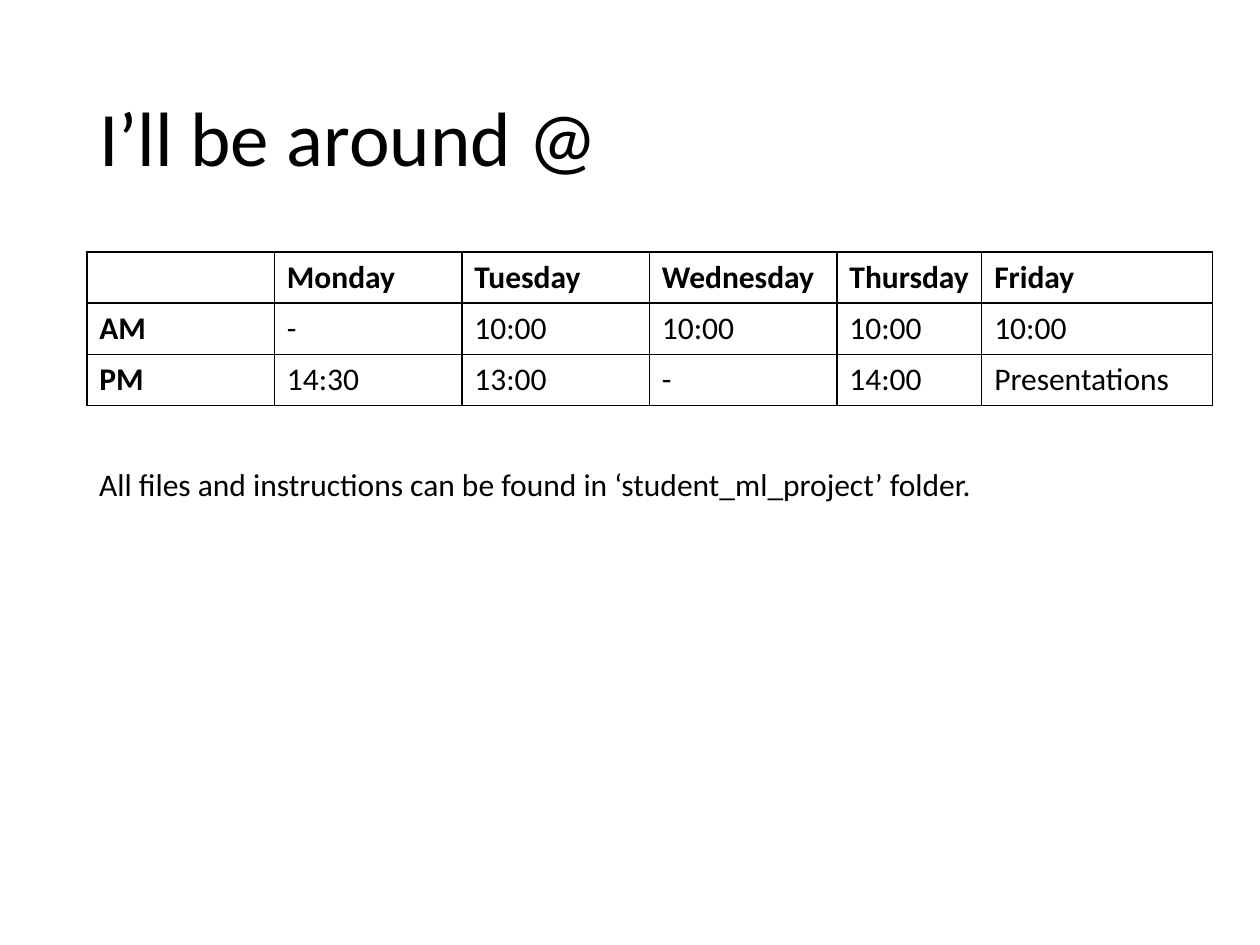
import pptx
import pptx.util
import pptx.dml.color
import pptx.enum.text
import pptx.oxml.ns
import lxml.etree

Cm = pptx.util.Cm
Pt = pptx.util.Pt
BLACK = pptx.dml.color.RGBColor(0, 0, 0)
FONT = "Calibri"
LEFT = 1.75
DAYS = ["", "Monday", "Tuesday", "Wednesday", "Thursday", "Friday"]
HOURS = [
    DAYS,
    ["AM", "-", "10:00", "10:00", "10:00", "10:00"],
    ["PM", "14:30", "13:00", "-", "14:00", "Presentations"],
]
WIDTHS = [3.78, 3.78, 3.78, 3.78, 2.92, 4.65]


def style(frame, size, bold=False):
    for para in frame.paragraphs:
        for run in para.runs:
            run.font.name = FONT
            run.font.size = Pt(size)
            run.font.bold = bold
            run.font.color.rgb = BLACK


def edge(cell):
    props = cell._tc.get_or_add_tcPr()
    qn = pptx.oxml.ns.qn
    for spot, side in enumerate(("a:lnL", "a:lnR", "a:lnT", "a:lnB")):
        line = lxml.etree.Element(qn(side), w=str(Pt(1)))
        fill = lxml.etree.SubElement(line, qn("a:solidFill"))
        lxml.etree.SubElement(fill, qn("a:srgbClr"), val=str(BLACK))
        props.insert(spot, line)


def add_title(slide, left, top, width, height):
    title = slide.shapes.title
    title.left, title.top = Cm(left), Cm(top)
    title.width, title.height = Cm(width), Cm(height)
    frame = title.text_frame
    frame.text = "I’ll be around @"
    frame.vertical_anchor = pptx.enum.text.MSO_ANCHOR.MIDDLE
    frame.paragraphs[0].alignment = pptx.enum.text.PP_ALIGN.LEFT
    frame.paragraphs[0].line_spacing = 0.9
    style(frame, 44)


def add_hours(slide, left, top, height):
    frame = slide.shapes.add_table(
        len(HOURS), len(DAYS), Cm(left), Cm(top), Cm(sum(WIDTHS)), Cm(height))
    table = frame.table
    table.first_row = table.horz_banding = False
    for col, width in zip(table.columns, WIDTHS):
        col.width = Cm(width)
    for r, row in enumerate(HOURS):
        for c, text in enumerate(row):
            cell = table.cell(r, c)
            cell.text_frame.text = text
            cell.fill.background()
            style(cell.text_frame, 18, r == 0 or c == 0)
            edge(cell)


def add_note(slide, left, top, width, height):
    box = slide.shapes.add_textbox(Cm(left), Cm(top), Cm(width), Cm(height))
    frame = box.text_frame
    frame.word_wrap = False
    frame.auto_size = pptx.enum.text.MSO_AUTO_SIZE.SHAPE_TO_FIT_TEXT
    frame.text = ("All files and instructions can be found in "
                  "‘student_ml_project’ folder.")
    style(frame, 18)


def main():
    deck = pptx.Presentation()
    deck.slide_width, deck.slide_height = Cm(25.4), Cm(19.05)
    slide = deck.slides.add_slide(deck.slide_layouts[5])
    add_title(slide, LEFT, 1.02, 21.9, 3.68)
    add_hours(slide, LEFT, 5.08, 3.1)
    add_note(slide, LEFT, 9.25, 18.21, 1.02)
    deck.save("out.pptx")


if __name__ == "__main__":
    main()
